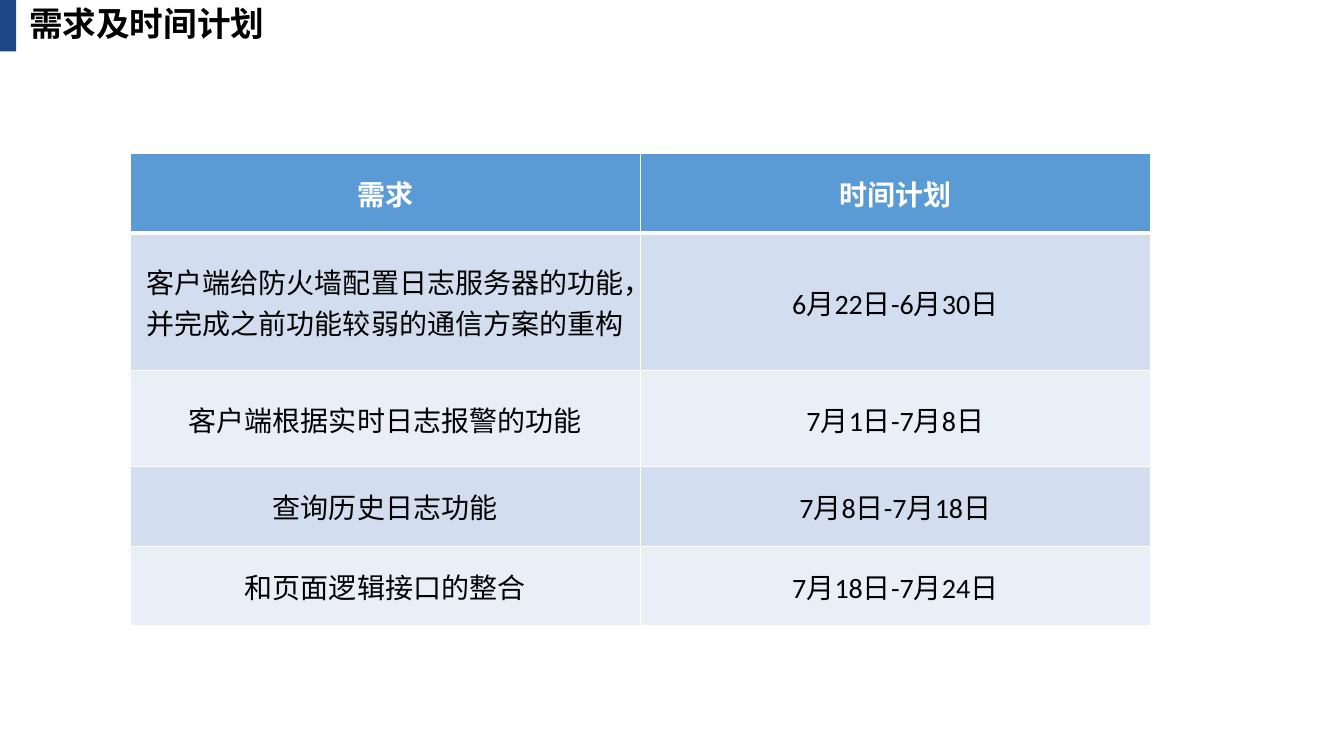
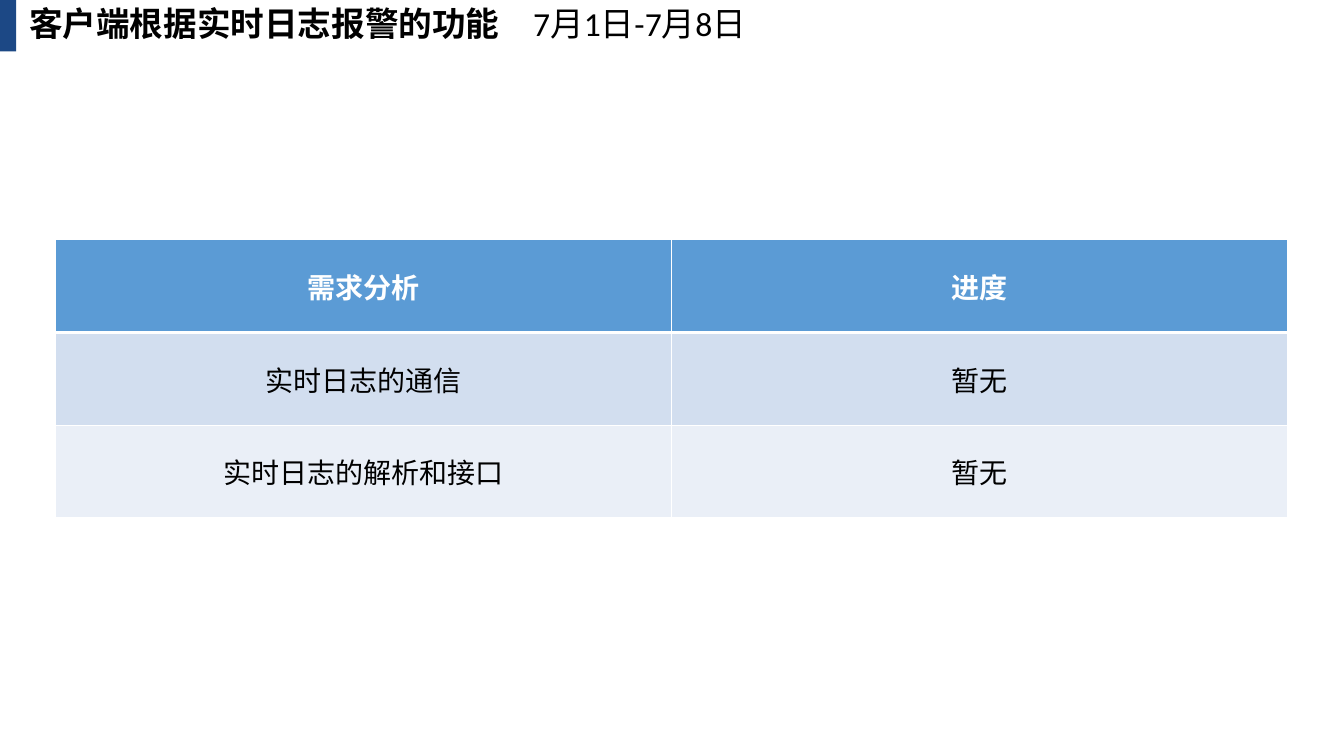
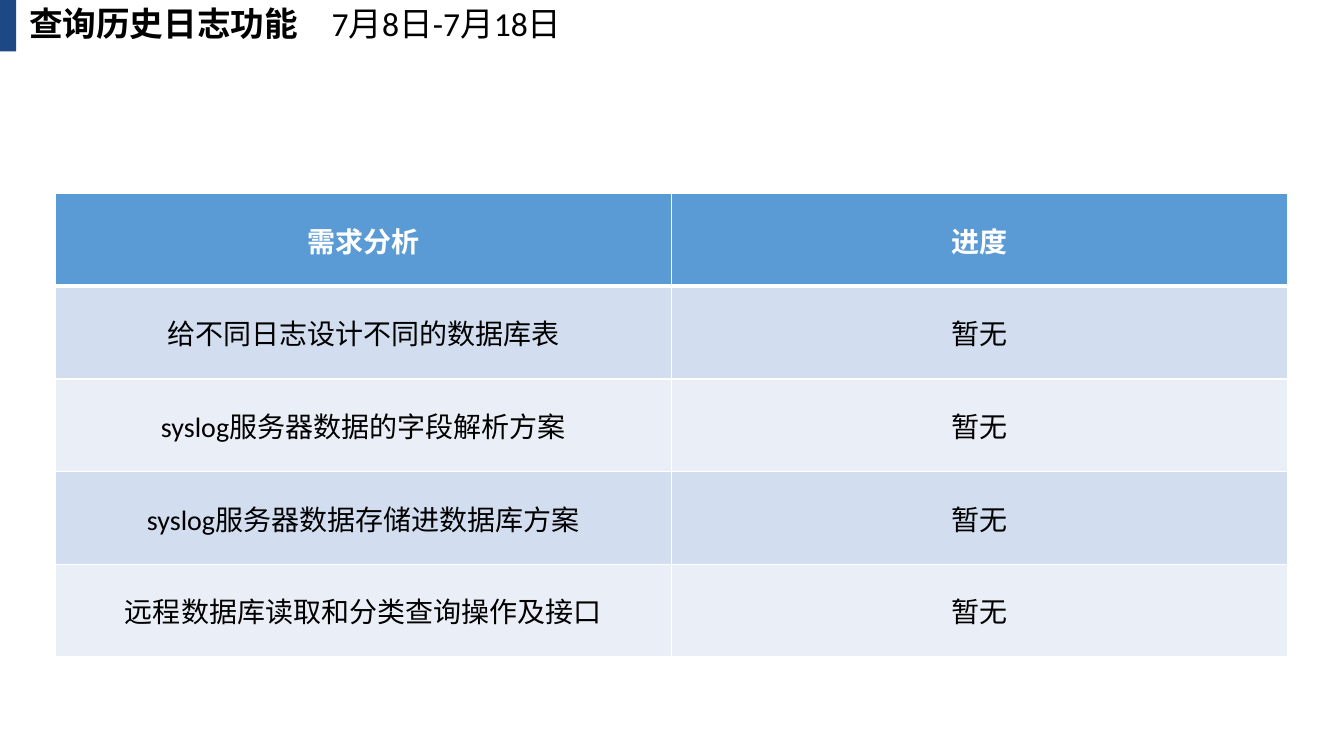
from dataclasses import dataclass

from lxml.etree import SubElement
from pptx import Presentation
from pptx.dml.color import RGBColor
from pptx.enum.lang import MSO_LANGUAGE_ID as Lang
from pptx.enum.shapes import MSO_SHAPE as Shape
from pptx.enum.text import MSO_ANCHOR as Anchor, MSO_AUTO_SIZE as AutoSize, PP_ALIGN as Align
from pptx.oxml.ns import qn
from pptx.util import Inches, Pt

# Shared style
BLACK = RGBColor(0x00, 0x00, 0x00)
WHITE = RGBColor(0xFF, 0xFF, 0xFF)
NAVY = RGBColor(0x1C, 0x48, 0x85)
HEADER_BLUE = RGBColor(0x5B, 0x9B, 0xD5)
BANDS = (RGBColor(0xD2, 0xDE, 0xEF), RGBColor(0xEA, 0xEF, 0xF7))
LATIN_FONT = "Calibri"
CJK_FONT = "Noto Sans CJK SC"
TITLE_SIZE, TABLE_SIZE = 24, 20
THIN, THICK = 1, 3
PENDING = "暂无"


@dataclass
class Plan:
    title: str
    title_width: float
    left: float
    top: float
    column_width: float
    row_heights: list[float]
    rows: list[tuple[str, str]]
    dates: str = ""


def progress_plan(title: str, dates: str, top: float, tasks: list[str]) -> Plan:
    """Plan of one requirement, all of whose tasks are still pending."""
    rows = [("需求分析", "进度")] + [(task, PENDING) for task in tasks]
    return Plan(title, 9.87, 0.55, top, 6.11, [0.92] * len(rows), rows, dates)


PLANS = [
    Plan("需求及时间计划", 4.74, 1.29, 1.52, 5.06, [0.79, 1.37, 0.95, 0.79, 0.79], [
        ("需求", "时间计划"),
        ("客户端给防火墙配置日志服务器的功能，并完成之前功能较弱的通信方案的重构", "6月22日-6月30日"),
        ("客户端根据实时日志报警的功能", "7月1日-7月8日"),
        ("查询历史日志功能", "7月8日-7月18日"),
        ("和页面逻辑接口的整合", "7月18日-7月24日"),
    ]),
    progress_plan("客户端根据实时日志报警的功能", "7月1日-7月8日", 2.38, [
        "实时日志的通信",
        "实时日志的解析和接口",
    ]),
    progress_plan("查询历史日志功能", "7月8日-7月18日", 1.92, [
        "给不同日志设计不同的数据库表",
        "syslog服务器数据的字段解析方案",
        "syslog服务器数据存储进数据库方案",
        "远程数据库读取和分类查询操作及接口",
    ]),
]


def add_run(paragraph, text: str, size: int, color: RGBColor, bold: bool,
            latin: str = LATIN_FONT) -> None:
    run = paragraph.add_run()
    run.text = text
    font = run.font
    font.size, font.bold, font.name = Pt(size), bold, latin
    font.color.rgb = color
    font.language_id = Lang.SIMPLIFIED_CHINESE
    SubElement(run._r.get_or_add_rPr(), qn("a:ea")).set("typeface", CJK_FONT)


def set_borders(cell, top: int, bottom: int) -> None:
    """White borders; they stand ahead of the fill in the cell properties."""
    properties = cell._tc.get_or_add_tcPr()
    sides = (("a:lnL", THIN), ("a:lnR", THIN), ("a:lnT", top), ("a:lnB", bottom))
    for position, (side, width) in enumerate(sides):
        line = SubElement(properties, qn(side), w=str(Pt(width)))
        fill = SubElement(line, qn("a:solidFill"))
        SubElement(fill, qn("a:srgbClr"), val=str(WHITE))
        properties.insert(position, line)


def draw_title(slide, plan: Plan) -> None:
    title = slide.shapes.add_textbox(Inches(0.19), Inches(-0.02),
                                     Inches(plan.title_width), Inches(0.5))
    frame = title.text_frame
    frame.word_wrap = True
    frame.auto_size = AutoSize.SHAPE_TO_FIT_TEXT
    heading = frame.paragraphs[0]
    tab = "\t" if plan.dates else ""
    add_run(heading, plan.title + tab, TITLE_SIZE, BLACK, True, CJK_FONT)
    if plan.dates:
        add_run(heading, plan.dates, TITLE_SIZE, BLACK, False)

    # Navy mark at the slide corner
    mark = slide.shapes.add_shape(Shape.RECTANGLE, 0, 0, Inches(0.16), Inches(0.51))
    mark.shadow.inherit = False
    mark.fill.solid()
    mark.fill.fore_color.rgb = NAVY
    mark.line.fill.background()


def draw_table(slide, plan: Plan) -> None:
    columns = len(plan.rows[0])
    table = slide.shapes.add_table(
        len(plan.rows), columns, Inches(plan.left), Inches(plan.top),
        Inches(plan.column_width * columns), Inches(sum(plan.row_heights))).table
    for column in table.columns:
        column.width = Inches(plan.column_width)
    for r, (height, texts) in enumerate(zip(plan.row_heights, plan.rows)):
        table.rows[r].height = Inches(height)
        is_header = r == 0
        for c, text in enumerate(texts):
            cell = table.cell(r, c)
            cell.vertical_anchor = Anchor.MIDDLE
            cell.fill.solid()
            cell.fill.fore_color.rgb = HEADER_BLUE if is_header else BANDS[(r - 1) % 2]
            set_borders(cell, THICK if r == 1 else THIN, THICK if is_header else THIN)
            paragraph = cell.text_frame.paragraphs[0]
            paragraph.alignment = Align.CENTER
            add_run(paragraph, text, TABLE_SIZE, WHITE if is_header else BLACK, is_header)


def main() -> None:
    deck = Presentation()
    deck.slide_width, deck.slide_height = Inches(13.33), Inches(7.5)
    blank = deck.slide_layouts[6]
    for plan in PLANS:
        slide = deck.slides.add_slide(blank)
        draw_title(slide, plan)
        draw_table(slide, plan)
    deck.save("out.pptx")


if __name__ == "__main__":
    main()
